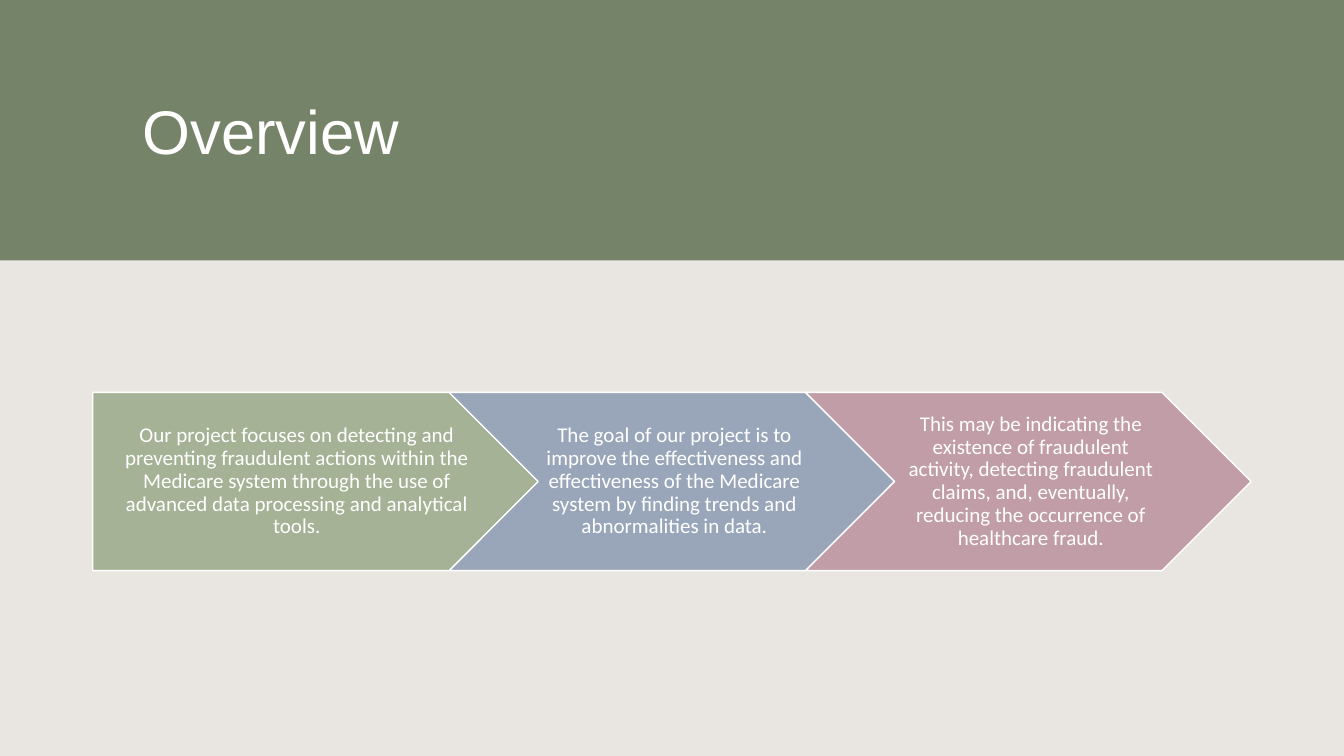
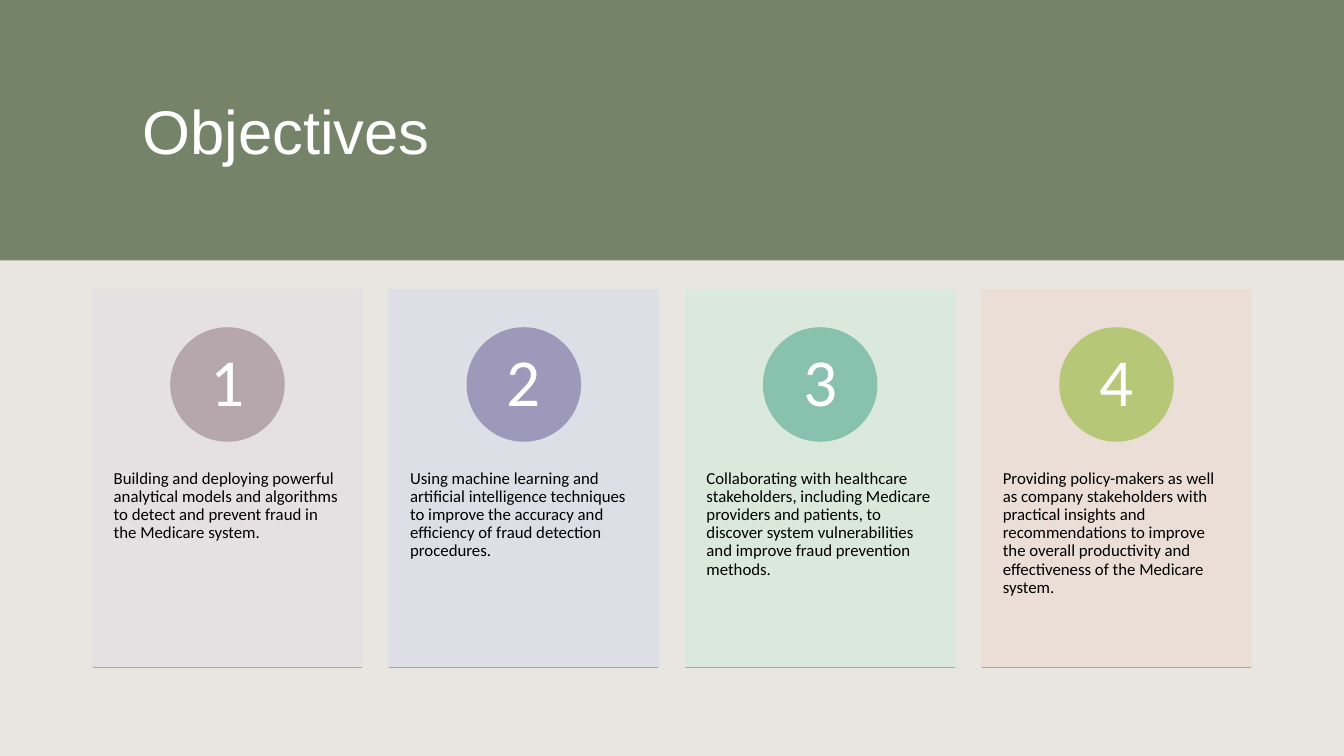
from collections import namedtuple

from lxml.etree import SubElement
from pptx import Presentation
from pptx.dml.color import RGBColor
from pptx.enum.shapes import MSO_CONNECTOR, MSO_SHAPE
from pptx.enum.text import MSO_ANCHOR, MSO_AUTO_SIZE, PP_ALIGN
from pptx.oxml.ns import qn
from pptx.util import Pt

Box = namedtuple("Box", "left top width height")
Step = namedtuple("Step", "outline color text")
Objective = namedtuple("Objective", "card_color circle_color rule_color text")

SLIDE_WIDTH, SLIDE_HEIGHT = 960, 540
BAND_BOX = Box(0, 0, SLIDE_WIDTH, 186)
TITLE_BOX = Box(94.5, 30, 787.5, 126)
STEPS_BOX = Box(66.25, 280.3, 827.5, 127.3)
CARDS_BOX = Box(66.25, 207.3, 827.5, 269.4)
TITLE_FONT, BODY_FONT = "Arial", "Calibri"

WHITE = RGBColor(0xFF, 0xFF, 0xFF)
BLACK = RGBColor(0x00, 0x00, 0x00)
BACKGROUND = RGBColor(0xE9, 0xE5, 0xE1)
BAND = RGBColor(0x75, 0x84, 0x68)
SAGE = RGBColor(0xA5, 0xB2, 0x95)
SLATE = RGBColor(0x99, 0xA6, 0xBA)
ROSE = RGBColor(0xC1, 0x9D, 0xA7)
PALE_MAUVE = RGBColor(0xE5, 0xE1, 0xE3)
PALE_VIOLET = RGBColor(0xDD, 0xDE, 0xE7)
PALE_GREEN = RGBColor(0xD9, 0xEA, 0xDC)
PALE_PEACH = RGBColor(0xEC, 0xDE, 0xD5)
MAUVE = RGBColor(0xB5, 0xA7, 0xAC)
VIOLET = RGBColor(0x9E, 0x98, 0xBA)
TEAL = RGBColor(0x89, 0xC1, 0xAF)
LIME = RGBColor(0xB6, 0xC8, 0x78)
RULE_PURPLE = RGBColor(0xB5, 0xA0, 0xB7)
RULE_BLUE = RGBColor(0x91, 0xAA, 0xBD)
RULE_GREEN = RGBColor(0x83, 0xC4, 0x80)
RULE_OCHRE = RGBColor(0xCC, 0x9C, 0x6F)

STEPS = [
    Step(MSO_SHAPE.PENTAGON, SAGE,
         "Our project focuses on detecting and preventing fraudulent actions within the "
         "Medicare system through the use of advanced data processing and analytical tools."),
    Step(MSO_SHAPE.CHEVRON, SLATE,
         "The goal of our project is to improve the effectiveness and effectiveness of the "
         "Medicare system by finding trends and abnormalities in data."),
    Step(MSO_SHAPE.CHEVRON, ROSE,
         "This may be indicating the existence of fraudulent activity, detecting fraudulent "
         "claims, and, eventually, reducing the occurrence of healthcare fraud."),
]
OBJECTIVES = [
    Objective(PALE_MAUVE, MAUVE, RULE_PURPLE,
              "Building and deploying powerful analytical models and algorithms to detect "
              "and prevent fraud in the Medicare system."),
    Objective(PALE_VIOLET, VIOLET, RULE_BLUE,
              "Using machine learning and artificial intelligence techniques to improve the "
              "accuracy and efficiency of fraud detection procedures."),
    Objective(PALE_GREEN, TEAL, RULE_GREEN,
              "Collaborating with healthcare stakeholders, including Medicare providers and "
              "patients, to discover system vulnerabilities and improve fraud prevention methods."),
    Objective(PALE_PEACH, LIME, RULE_OCHRE,
              "Providing policy-makers as well as company stakeholders with practical insights "
              "and recommendations to improve the overall productivity and effectiveness of "
              "the Medicare system."),
]


def add_filled_shape(slide, outline, box, fill_color, line_color):
    """Add a flat preset shape with a one-point outline."""
    shape = slide.shapes.add_shape(outline, *map(Pt, box))
    shape.shadow.inherit = False
    shape.fill.solid()
    shape.fill.fore_color.rgb = fill_color
    shape.line.color.rgb = line_color
    shape.line.width = Pt(1)
    return shape


def set_opacity(shape, percent):
    """Make the fill and outline of a shape partly transparent."""
    for color in shape.element.spPr.iter(qn("a:srgbClr")):
        SubElement(color, qn("a:alpha"), val=str(percent * 1000))


def write_text(shape, text, size, color, insets, font=BODY_FONT,
               alignment=PP_ALIGN.CENTER, anchor=MSO_ANCHOR.MIDDLE, spacing=0.9):
    """Write one formatted paragraph; insets run left, top, right, bottom."""
    frame = shape.text_frame
    frame.word_wrap = True
    frame.auto_size = MSO_AUTO_SIZE.NONE
    frame.vertical_anchor = anchor
    (frame.margin_left, frame.margin_top,
     frame.margin_right, frame.margin_bottom) = map(Pt, insets)
    paragraph = frame.paragraphs[0]
    paragraph.text = text
    paragraph.alignment = alignment
    paragraph.line_spacing = spacing
    paragraph.font.name = font
    paragraph.font.size = Pt(size)
    paragraph.font.color.rgb = color


def add_titled_slide(presentation, title_text):
    """Add a slide with the shared background, band and title."""
    slide = presentation.slides.add_slide(presentation.slide_layouts.get_by_name("Title Only"))
    slide.background.fill.solid()
    slide.background.fill.fore_color.rgb = BACKGROUND
    band = add_filled_shape(slide, MSO_SHAPE.RECTANGLE, BAND_BOX, BAND, BAND)
    band.line.fill.background()
    title = slide.shapes.title
    title.element.addprevious(band.element)
    title.left, title.top, title.width, title.height = map(Pt, TITLE_BOX)
    write_text(title, title_text, 44, WHITE, (7.2, 3.6, 7.2, 3.6), font=TITLE_FONT,
               alignment=PP_ALIGN.LEFT, spacing=1.0)
    return slide


def add_steps(slide, box, steps):
    """Fill the box with a row of interlocking arrows."""
    width = box.width / (1 + 0.8 * (len(steps) - 1))
    for index, step in enumerate(steps):
        step_box = Box(box.left + 0.8 * width * index, box.top, width, box.height)
        arrow = add_filled_shape(slide, step.outline, step_box, step.color, WHITE)
        left_inset = 6.5 if index == 0 else 5
        write_text(arrow, step.text, 15, WHITE, (left_inset, 3, 1.5, 3))


def add_objective(slide, box, number, objective):
    """Add a numbered card with a rule along its bottom edge."""
    card = add_filled_shape(slide, MSO_SHAPE.RECTANGLE, box,
                            objective.card_color, objective.card_color)
    set_opacity(card, 90)
    write_text(card, objective.text, 12, BLACK, (15, 0.38 * box.height + 26, 15, 21),
               alignment=PP_ALIGN.LEFT, anchor=MSO_ANCHOR.TOP)

    diameter = 0.3 * box.height
    circle_box = Box(box.left + (box.width - diameter) / 2, box.top + 0.1 * box.height,
                     diameter, diameter)
    circle = add_filled_shape(slide, MSO_SHAPE.OVAL, circle_box,
                              objective.circle_color, objective.circle_color)
    write_text(circle, str(number), 48, WHITE, (6.3, 1, 6.3, 1))

    bottom = box.top + box.height
    rule = slide.shapes.add_connector(MSO_CONNECTOR.STRAIGHT, Pt(box.left), Pt(bottom),
                                      Pt(box.left + box.width), Pt(bottom))
    rule.line.color.rgb = objective.rule_color
    rule.line.width = Pt(1)
    SubElement(rule.element.spPr, qn("a:effectLst"))


def add_objectives(slide, box, objectives):
    """Fill the box with equal cards, a tenth of a card apart."""
    count = len(objectives)
    width = box.width / (count + 0.1 * (count - 1))
    for index, objective in enumerate(objectives):
        card_box = Box(box.left + 1.1 * width * index, box.top, width, box.height)
        add_objective(slide, card_box, index + 1, objective)


def main():
    """Build and save the presentation."""
    presentation = Presentation()
    presentation.slide_width = Pt(SLIDE_WIDTH)
    presentation.slide_height = Pt(SLIDE_HEIGHT)
    add_steps(add_titled_slide(presentation, "Overview"), STEPS_BOX, STEPS)
    add_objectives(add_titled_slide(presentation, "Objectives"), CARDS_BOX, OBJECTIVES)
    presentation.save("out.pptx")


if __name__ == "__main__":
    main()
